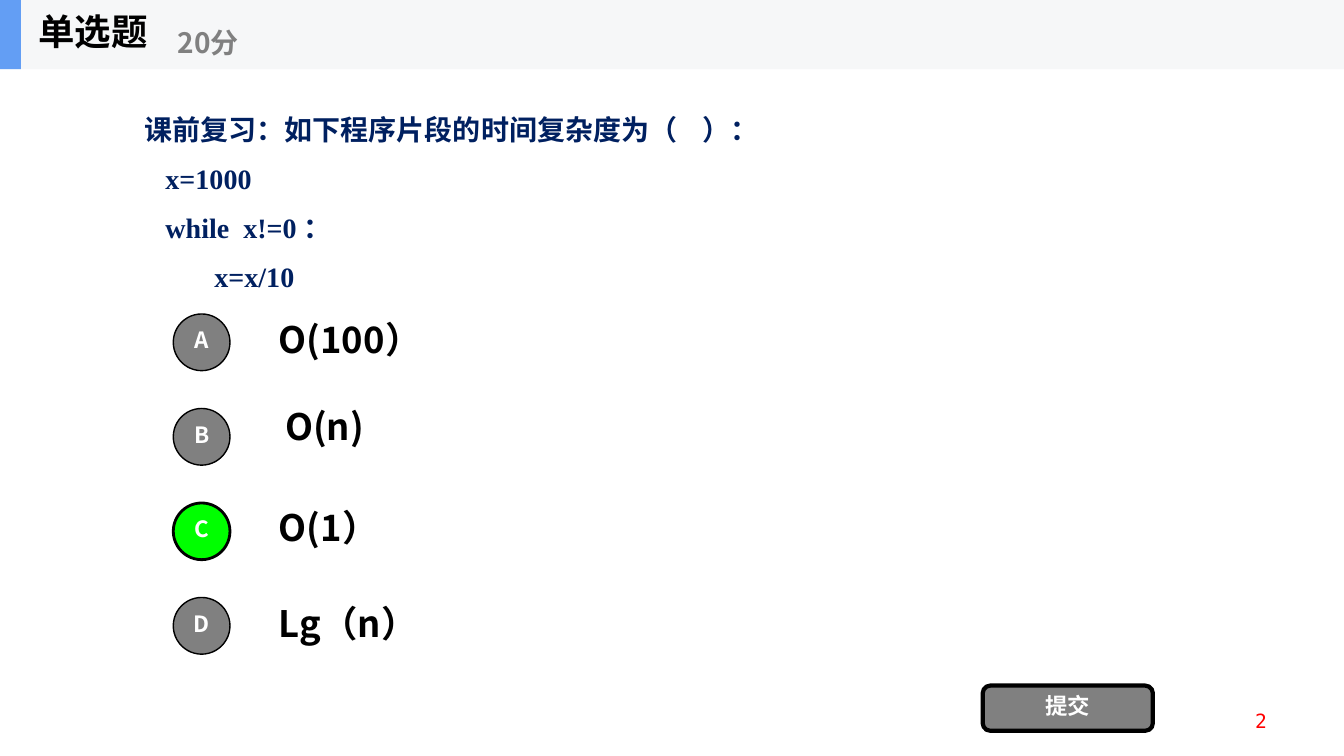
"""Build a single-choice quiz slide with a question, four options and a submit button."""
from lxml import etree
from pptx import Presentation
from pptx import util as u
from pptx.dml.color import RGBColor
from pptx.enum import shapes, text
from pptx.oxml import ns

PX = 9525
BLACK = RGBColor(0x00, 0x00, 0x00)
WHITE = RGBColor(0xFF, 0xFF, 0xFF)
GRAY = RGBColor(0x80, 0x80, 0x80)
GREEN = RGBColor(0x00, 0xFF, 0x00)
RED = RGBColor(0xFF, 0x00, 0x00)
NAVY = RGBColor(0x00, 0x20, 0x60)
BLUE = RGBColor(0x63, 0x9E, 0xF4)
PALE = RGBColor(0xF6, 0xF7, 0xF8)

SANS = "Noto Sans CJK SC"
LEFT, CENTER, RIGHT = text.PP_ALIGN.LEFT, text.PP_ALIGN.CENTER, text.PP_ALIGN.RIGHT
HEADING = {"name": SANS, "size": u.Pt(26), "bold": True}
POINTS = {**HEADING, "size": u.Pt(20)}
LABEL = {**HEADING, "size": u.Pt(16)}
QUESTION = {"name": "Times New Roman", "size": u.Pt(20), "bold": True}
PAGE = {"name": "DejaVu Sans Mono", "size": u.Pt(14), "bold": False}
EXACT = {"alignment": LEFT, "line_spacing": u.Pt(26)}
TIGHT = {"alignment": CENTER, "line_spacing": 0.8}

QUESTION_LINES = [
    "课前复习：如下程序片段的时间复杂度为（    ）：",
    "   x=1000",
    "   while  x!=0 ：",
    "          x=x/10",
]
OPTIONS = [
    ("A", "O(100）", 256, 293, GRAY, 1),
    ("B", "O(n)", 262, 376, GRAY, 1),
    ("C", "O(1）", 256, 472, GREEN, 2),
    ("D", "Lg（n）", 256, 563, GRAY, 1),
]
CIRCLE_TOP, CIRCLE_PITCH = 299, 90


def apply(target, values):
    """Set every attribute named in a dict of format values."""
    for name, value in values.items():
        setattr(target, name, value)


def place(shape, left, top, width, height):
    """Move and size a shape in px."""
    apply(shape, {"left": left * PX, "top": top * PX,
                  "width": width * PX, "height": height * PX})


def write(shape, lines, font, color, layout, gap=0):
    """Fill a shape with formatted paragraphs."""
    frame = shape.text_frame
    apply(frame, {"word_wrap": True, "auto_size": text.MSO_AUTO_SIZE.NONE,
                  "vertical_anchor": text.MSO_ANCHOR.MIDDLE})
    for index, line in enumerate(lines):
        paragraph = frame.add_paragraph() if index else frame.paragraphs[0]
        apply(paragraph, {**layout, "space_before": u.Pt(gap if index else 0)})
        run = paragraph.add_run()
        run.text = line
        apply(run.font, font)
        run.font.color.rgb = color
        east_asian = etree.SubElement(run._r.get_or_add_rPr(), ns.qn("a:ea"))
        east_asian.set("typeface", SANS)


def add_label(slide, box, line, font, color, layout):
    """Add a one-line text box."""
    shape = slide.shapes.add_textbox(*(value * PX for value in box))
    write(shape, [line], font, color, layout)


def add_block(slide, kind, box, fill, border=0):
    """Add a filled preset shape with an optional black border in points."""
    shape = slide.shapes.add_shape(kind, *(value * PX for value in box))
    shape.shadow.inherit = False
    shape.fill.solid()
    shape.fill.fore_color.rgb = fill
    if border:
        shape.line.color.rgb = BLACK
        shape.line.width = u.Pt(border)
    else:
        shape.line.fill.background()
    return shape


def add_button(slide, kind, box, fill, border, line):
    """Add a bordered shape with a white centred label."""
    shape = add_block(slide, kind, box, fill, border)
    write(shape, [line], LABEL, WHITE, TIGHT)


def add_header(slide):
    """Add the header band with the title and the points."""
    rectangle = shapes.MSO_SHAPE.RECTANGLE
    add_block(slide, rectangle, (0, 0, 1280, 66), PALE)
    add_block(slide, rectangle, (0, 0, 20, 66), BLUE)
    title = slide.shapes.title
    slide.shapes._spTree.append(title._element)
    place(title, 27, 0, 200, 66)
    write(title, ["单选题"], HEADING, BLACK, EXACT)
    add_label(slide, (160, 12, 240, 54), "20分", POINTS, GRAY, EXACT)


def add_question(slide):
    """Fill the body placeholder with the question and its code."""
    body = slide.placeholders[1]
    place(body, 128, 66, 1048, 255)
    write(body, QUESTION_LINES, QUESTION, NAVY, {"alignment": LEFT}, gap=11)
    for paragraph in body.text_frame.paragraphs:
        properties = paragraph._p.get_or_add_pPr()
        properties.set("marL", "0")
        properties.set("indent", "0")
        etree.SubElement(properties, ns.qn("a:buNone"))


def add_options(slide):
    """Add the lettered circles and the answer texts."""
    for row, (letter, answer, left, top, fill, border) in enumerate(OPTIONS):
        circle = (165, CIRCLE_TOP + row * CIRCLE_PITCH, 54, 54)
        add_button(slide, shapes.MSO_SHAPE.OVAL, circle, fill, border, letter)
        add_label(slide, (left, top, 896, 67), answer, HEADING, BLACK, EXACT)


def main():
    """Build and save the slide."""
    presentation = Presentation()
    apply(presentation, {"slide_width": 1280 * PX, "slide_height": 720 * PX})
    slide = presentation.slides.add_slide(presentation.slide_layouts[1])
    add_header(slide)
    add_question(slide)
    add_options(slide)
    add_button(slide, shapes.MSO_SHAPE.ROUNDED_RECTANGLE, (936, 653, 162, 43), GRAY, 3, "提交")
    add_label(slide, (918, 667, 298, 38), "2", PAGE, RED, {"alignment": RIGHT})
    presentation.save("out.pptx")


if __name__ == "__main__":
    main()
